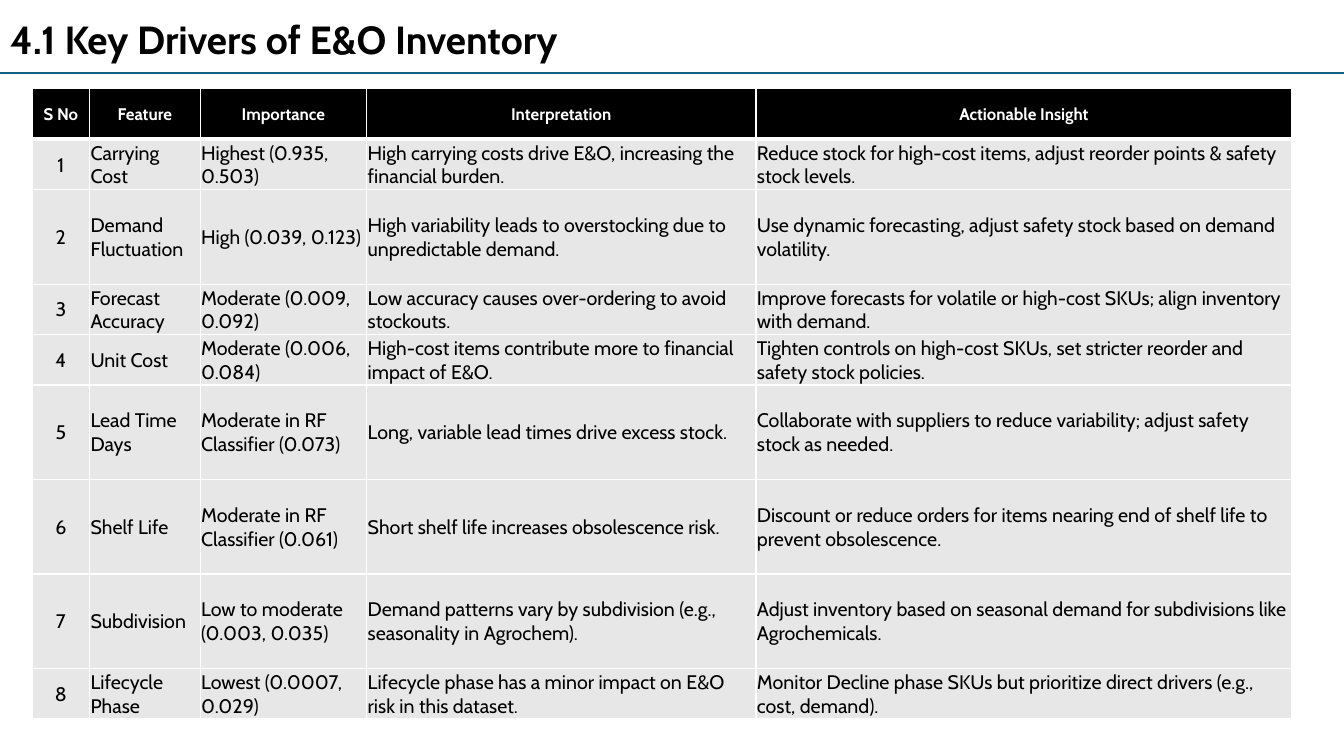
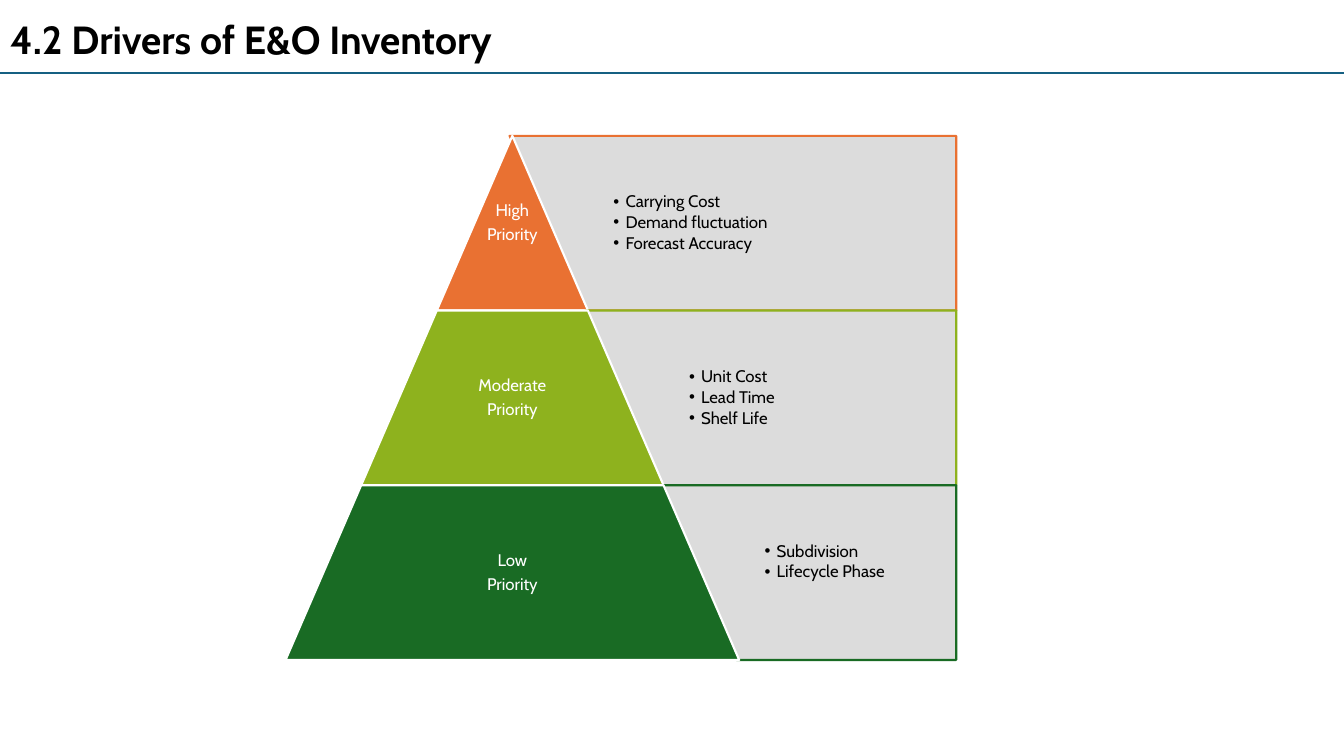
import pptx
import pptx.util
import pptx.dml.color
import pptx.enum.shapes
import pptx.enum.text
import pptx.oxml
import pptx.oxml.ns

Pt = pptx.util.Pt
ALIGN = pptx.enum.text.PP_ALIGN
SHAPE = pptx.enum.shapes.MSO_SHAPE
FONT = "Cabin"
WIDE, HIGH = 960, 540
HUES = {
    "black": "000000",
    "white": "FFFFFF",
    "rule": "156082",
    "cell": "E7E7E7",
    "panel": "D9D9D9",
    "high": "E97132",
    "mid": "8EB21E",
    "low": "196B24",
}

COLS = [41, 79, 119, 278, 383]
ROWS = [36, 36, 67.5, 36, 36, 67.5, 67.5, 67.5, 36]
HEAD = ["S No", "Feature", "Importance", "Interpretation", "Actionable Insight"]
DATA = [
    ["Carrying Cost", "Highest (0.935, 0.503)",
     "High carrying costs drive E&O, increasing the financial burden.",
     "Reduce stock for high-cost items, adjust reorder points & safety stock levels."],
    ["Demand Fluctuation", "High (0.039, 0.123)",
     "High variability leads to overstocking due to unpredictable demand.",
     "Use dynamic forecasting, adjust safety stock based on demand volatility."],
    ["Forecast Accuracy", "Moderate (0.009, 0.092)",
     "Low accuracy causes over-ordering to avoid stockouts.",
     "Improve forecasts for volatile or high-cost SKUs; align inventory with demand."],
    ["Unit Cost", "Moderate (0.006, 0.084)",
     "High-cost items contribute more to financial impact of E&O.",
     "Tighten controls on high-cost SKUs, set stricter reorder and safety stock policies."],
    ["Lead Time Days", "Moderate in RF Classifier (0.073)",
     "Long, variable lead times drive excess stock.",
     "Collaborate with suppliers to reduce variability; adjust safety stock as needed."],
    ["Shelf Life", "Moderate in RF Classifier (0.061)",
     "Short shelf life increases obsolescence risk.",
     "Discount or reduce orders for items nearing end of shelf life to prevent obsolescence."],
    ["Subdivision", "Low to moderate (0.003, 0.035)",
     "Demand patterns vary by subdivision (e.g., seasonality in Agrochem).",
     "Adjust inventory based on seasonal demand for subdivisions like Agrochemicals."],
    ["Lifecycle Phase", "Lowest (0.0007, 0.029)",
     "Lifecycle phase has a minor impact on E&O risk in this dataset.",
     "Monitor Decline phase SKUs but prioritize direct drivers (e.g., cost, demand)."],
]

TIERS = [
    ("High", "high", ["Carrying Cost", "Demand fluctuation", "Forecast Accuracy"]),
    ("Moderate", "mid", ["Unit Cost", "Lead Time", "Shelf Life"]),
    ("Low", "low", ["Subdivision", "Lifecycle Phase"]),
]
APEX, TOP, TALL, STEP, EDGE = 366, 97, 124.8, 54, 683


def color(name):
    """Return the named colour."""
    return pptx.dml.color.RGBColor.from_string(HUES[name])


def node(tag, host, **attrs):
    """Append an XML element to a host and return it."""
    item = pptx.oxml.parse_xml(f"<{tag} {pptx.oxml.ns.nsdecls('a')}/>")
    for key, val in attrs.items():
        item.set(key, str(val))
    host.append(item)
    return item


def place(shape, left, top, width, height):
    """Move and size a shape."""
    shape.left, shape.top = Pt(left), Pt(top)
    shape.width, shape.height = Pt(width), Pt(height)


def write(frame, lines, size=12, hue="black", bold=False, align=ALIGN.LEFT,
          space=None, after=0, bullet=0):
    """Write formatted paragraphs into a text frame."""
    for num, line in enumerate(lines):
        para = frame.add_paragraph() if num else frame.paragraphs[0]
        para.alignment = align
        para.space_before, para.space_after = Pt(0), Pt(after)
        if space:
            para.line_spacing = space
        if bullet:
            prop = para._p.get_or_add_pPr()
            prop.set("marL", str(Pt(bullet)))
            prop.set("indent", str(-Pt(bullet)))
            node("a:buChar", prop, char="•")
        run = para.add_run()
        run.text = line
        font = run.font
        font.name, font.size, font.bold = FONT, Pt(size), bold
        font.color.rgb = color(hue)


def fit(frame, side, low=None):
    """Set insets, wrapping and middle anchoring of a text frame."""
    frame.word_wrap = True
    frame.auto_size = pptx.enum.text.MSO_AUTO_SIZE.NONE
    frame.vertical_anchor = pptx.enum.text.MSO_ANCHOR.MIDDLE
    frame.margin_left = frame.margin_right = frame.margin_top = Pt(side)
    frame.margin_bottom = Pt(side if low is None else low)


def start(deck, layout, title):
    """Add a slide with the shared title and rule."""
    slide = deck.slides.add_slide(deck.slide_layouts[layout])
    head = slide.shapes.title
    place(head, 0, 7.2, WIDE, 41)
    fit(head.text_frame, 7.2, 3.6)
    head.text_frame.margin_top = Pt(3.6)
    write(head.text_frame, [title], size=28, bold=True)
    rule = slide.shapes.add_connector(
        pptx.enum.shapes.MSO_CONNECTOR.STRAIGHT, 0, Pt(52), Pt(WIDE), Pt(52))
    rule.line.color.rgb = color("rule")
    rule.line.width = Pt(1.5)
    node("a:effectLst", rule.element.spPr)
    return slide


def border(cell, row):
    """Draw white cell borders, heavy below the header."""
    prop = cell._tc.get_or_add_tcPr()
    heavy = {(0, "B"), (1, "T")}
    for side in "LRTB":
        wide = 3 if (row, side) in heavy else 1
        edge = node(f"a:ln{side}", prop, w=Pt(wide))
        node("a:srgbClr", node("a:solidFill", edge), val=HUES["white"])


def grid(slide):
    """Add the table of drivers."""
    rows = [HEAD] + [[str(num)] + row for num, row in enumerate(DATA, 1)]
    table = slide.shapes.add_table(
        len(ROWS), len(COLS), Pt(23), Pt(63.5), Pt(sum(COLS)), Pt(sum(ROWS))).table
    table.horz_banding = False
    for col, width in zip(table.columns, COLS):
        col.width = Pt(width)
    for row, height in zip(table.rows, ROWS):
        row.height = Pt(height)
    for i, row in enumerate(rows):
        for j, text in enumerate(row):
            cell = table.cell(i, j)
            border(cell, i)
            cell.fill.solid()
            cell.fill.fore_color.rgb = color("cell" if i else "black")
            cell.vertical_anchor = pptx.enum.text.MSO_ANCHOR.MIDDLE
            cell.margin_left = cell.margin_right = cell.margin_top = Pt(0.72)
            cell.margin_bottom = 0
            write(cell.text_frame, [text], size=14 if i else 12,
                  hue="black" if i else "white", bold=not i,
                  align=ALIGN.LEFT if i and j else ALIGN.CENTER)


def block(slide, kind, box, fill, line, adjust):
    """Add a filled and outlined preset shape."""
    shape = slide.shapes.add_shape(kind, *map(Pt, box))
    shape.shadow.inherit = False
    for num, val in enumerate(adjust):
        shape.adjustments[num] = val
    shape.fill.solid()
    shape.fill.fore_color.rgb = color(fill)
    shape.line.color.rgb = color(line)
    shape.line.width = Pt(1.5)
    return shape


def panel(slide, num, hue, items, body):
    """Add a tier's side panel with its list."""
    top, left = TOP + num * TALL, APEX + num * STEP - 2
    shape = block(slide, SHAPE.NON_ISOSCELES_TRAPEZOID,
                  (left, top, EDGE - left, TALL), "panel", hue, (0, STEP / TALL))
    shape.rotation = 180
    fill = shape.element.spPr.find(".//" + pptx.oxml.ns.qn("a:srgbClr"))
    node("a:alpha", fill, val=90000)
    left += STEP + 1
    place(body, left, top, EDGE - left, TALL)
    fit(body.text_frame, 19.2, 19.2 + 15 * (3 - len(items)))
    write(body.text_frame, items, space=0.9, after=1.8, bullet=8.64)
    shape.element.addnext(body.element)


def tier(slide, num, hue, label):
    """Add a pyramid tier with its label."""
    half = STEP * (num + 1)
    box = (APEX - half, TOP + num * TALL, 2 * half, TALL)
    block(slide, SHAPE.TRAPEZOID, box, hue, "white", (STEP / min(TALL, 2 * half),))
    note = slide.shapes.add_textbox(*map(Pt, box))
    fit(note.text_frame, 1.4)
    write(note.text_frame, [label, "Priority"], hue="white",
          align=ALIGN.CENTER, space=0.9, after=4.2)


def tower(slide):
    """Add the priority pyramid."""
    bodies = [hole for hole in slide.placeholders if hole.placeholder_format.idx]
    for num, (label, hue, items) in enumerate(TIERS):
        panel(slide, num, hue, items, bodies[num])
        tier(slide, num, hue, label)
    for spare in bodies[len(TIERS):]:
        spare.element.getparent().remove(spare.element)


def main():
    """Build and save the deck."""
    deck = pptx.Presentation()
    deck.slide_width, deck.slide_height = Pt(WIDE), Pt(HIGH)
    grid(start(deck, 5, "4.1 Key Drivers of E&O Inventory"))
    tower(start(deck, 4, "4.2 Drivers of E&O Inventory"))
    deck.save("out.pptx")


if __name__ == "__main__":
    main()
